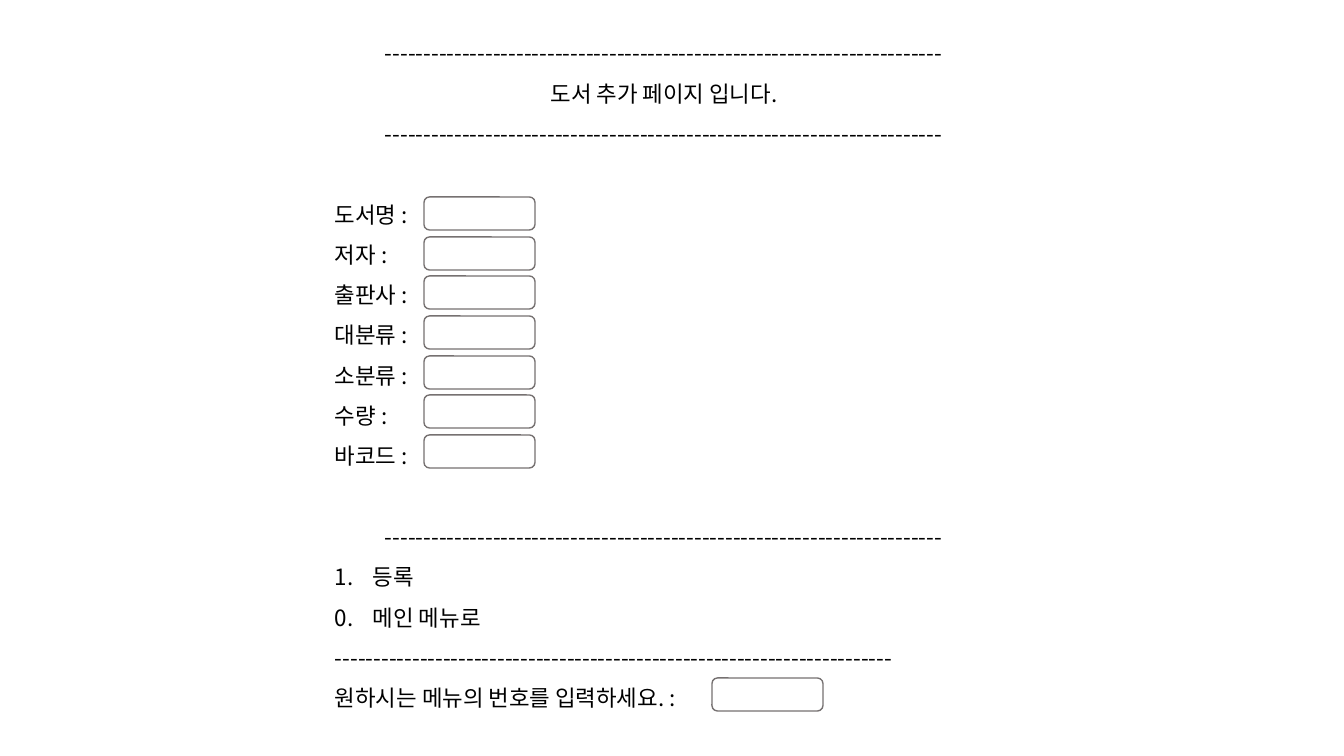
from lxml import etree
from pptx import Presentation
from pptx.dml.color import RGBColor
from pptx.enum import shapes, text
from pptx.oxml import ns
from pptx.util import Pt

SCALE = 914400 / 100.8
BLACK = RGBColor(0x00, 0x00, 0x00)
GRAY = RGBColor(0x76, 0x71, 0x71)
FONT = "Noto Sans CJK KR"
PITCH = Pt(28.8)
RULE = "-" * 72
MID = text.PP_ALIGN.CENTER
LEFT = text.PP_ALIGN.LEFT
LABELS = ("도서명 :", "저자 :", "출판사 :", "대분류 :", "소분류 :", "수량 :", "바코드 :")


def px(size):
    """Turn pixels into EMU."""
    return round(size * SCALE)


def add_page(slide):
    """Add the text box that holds the whole page and return its frame."""
    box = slide.shapes.add_textbox(px(325), px(21), px(678), px(698))
    frame = box.text_frame
    frame.word_wrap = True
    frame.auto_size = text.MSO_AUTO_SIZE.SHAPE_TO_FIT_TEXT
    return frame


def add_line(frame, words, align=LEFT, gap=0):
    """Add one line of text, with a gap above it."""
    first = frame.paragraphs[0]
    para = frame.add_paragraph() if first.runs else first
    para.alignment = align
    para.line_spacing = PITCH
    para.space_before = gap
    run = para.add_run()
    run.text = words
    run.font.size = Pt(16)
    run.font.name = FONT
    run.font.color.rgb = BLACK
    east = etree.SubElement(run.font._element, ns.qn("a:ea"))
    east.set("typeface", FONT)
    return para


def hang(para, number=False):
    """Give a line a hanging indent and, if asked, a number."""
    props = para._p.get_or_add_pPr()
    props.set("marL", str(px(38)))
    props.set("indent", str(-px(38)))
    if number:
        mark = etree.SubElement(props, ns.qn("a:buAutoNum"))
        mark.set("type", "arabicPeriod")


def add_field(slide, left, top):
    """Add an empty rounded input field."""
    kind = shapes.MSO_SHAPE.ROUNDED_RECTANGLE
    field = slide.shapes.add_shape(kind, px(left), px(top), px(111), px(33))
    field.shadow.inherit = False
    field.fill.background()
    field.line.color.rgb = GRAY
    field.line.width = Pt(1)


def main():
    """Build the page for adding a book."""
    deck = Presentation()
    deck.slide_width, deck.slide_height = px(1344), px(756)
    slide = deck.slides.add_slide(deck.slide_layouts[6])

    page = add_page(slide)
    for words in (RULE, "도서 추가 페이지 입니다.", RULE):
        add_line(page, words, MID)
    for row, label in enumerate(LABELS):
        add_line(page, label, gap=0 if row else PITCH)
        add_field(slide, 424, 197 + round(row * 238 / 6))
    add_line(page, RULE, MID, PITCH)
    hang(add_line(page, "등록"), number=True)
    hang(add_line(page, "0.\t메인 메뉴로"))
    add_line(page, RULE)
    add_line(page, "원하시는 메뉴의 번호를 입력하세요. :")
    add_field(slide, 712, 678)

    deck.save("out.pptx")


main()
